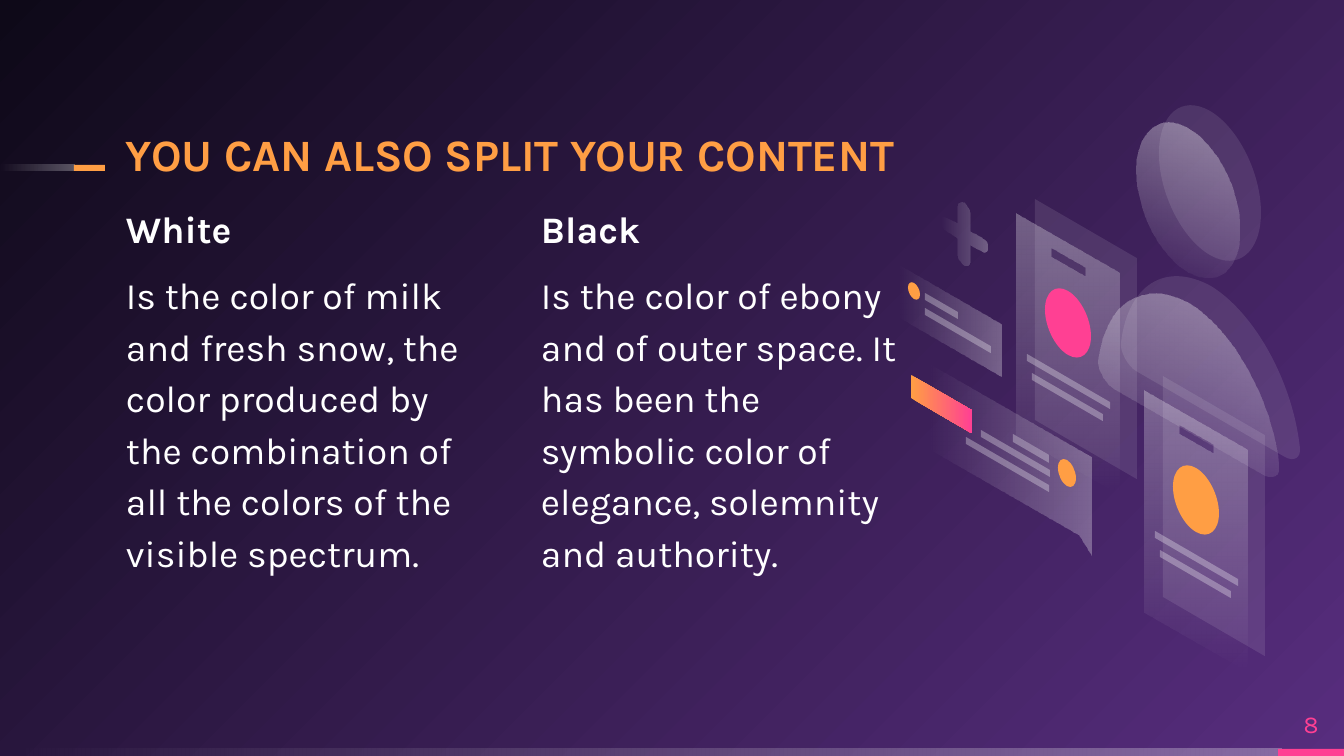
"""Build a slide with a title, two text columns and an isometric profile drawing."""
import pptx
import pptx.dml.color
import pptx.enum.shapes
import pptx.enum.text
import pptx.oxml.ns
import pptx.util
from lxml import etree

PX = 914400 / 134.4
FINE = 100
SLOPE = 0.58
BEND = 0.55
FONT = "Karla"
HEX = {"white": "FFFFFF", "gold": "FF9E44", "pink": "FF4093",
       "plum": "572D7E", "night": "0E0918"}

TITLE = "YOU CAN ALSO SPLIT YOUR CONTENT"
COLUMNS = [
    ("White", "Is the color of milk and fresh snow, the color produced by "
              "the combination of all the colors of the visible spectrum."),
    ("Black", "Is the color of ebony and of outer space. It has been the "
              "symbolic color of elegance, solemnity and authority."),
]
PAGE = "8"

FADE = [("white", 30), ("white", 0)]
GLOW = [("white", 40), ("white", 0)]
PALE = [("white", 10)]
MIST = [("white", 30)]
GOLD = [("gold", 100)]
PINK = [("pink", 100)]

STRIPS = [
    ((0, 749, 1282, 7), FADE), ((1278, 749, 66, 7), PINK),
    ((0, 165, 75, 6), FADE), ((74, 165, 31, 6), GOLD),
]
TORSO = [(1211, 286), (1165, 261, 1128, 285, 1121, 343),
         (1120, 352, 1128, 366, 1136, 371), (1285, 457),
         (1294, 462, 1301, 458, 1300, 448), (1293, 382, 1255, 313, 1211, 286)]
HEAD = (1210, 183, 51, 72)
PERSON = [((0, 0), PALE, None), ((-22, 17), GLOW, 110)]
PLUS = [(964, 203), (966, 206, 969, 210, 969, 214), (969, 231), (981, 237),
        (984, 239, 987, 243, 987, 247), (987, 251, 984, 253, 981, 251),
        (969, 245), (969, 261), (969, 265, 966, 266, 964, 265),
        (960, 262, 957, 258, 957, 254), (957, 238), (946, 231),
        (943, 230, 941, 224, 941, 220), (941, 218, 943, 215, 946, 218),
        (957, 223), (957, 207), (957, 203, 960, 202, 964, 203)]
CARDS = [(1145, 391, GOLD), (1017, 214, PINK)]
NOTE = (899, 265, 102, 52)
NOTE_BARS = [(925, 293, 33, 7), (925, 308, 66, 7)]
SPEECH = [(1091, 458), (929, 364), (929, 449), (1078, 535), (1091, 556)]
SPEECH_BARS = [(1013, 434, 36, 8), (981, 430, 69, 7), (966, 437, 83, 7)]
TAG = (911, 375, 61, 23)


def emu(*sizes):
    return [pptx.util.Emu(round(size * PX)) for size in sizes]


def rgb(name):
    return pptx.dml.color.RGBColor.from_string(HEX[name])


def tag(name):
    return pptx.oxml.ns.qn("a:" + name)


def blend(fill, stops, angle=0):
    fill.gradient()
    fill.gradient_angle = (360 - angle) % 360
    for stop, (name, _) in zip(fill.gradient_stops, stops):
        stop.color.rgb = rgb(name)


def paint(shape, stops, angle=180):
    if len(stops) > 1:
        blend(shape.fill, stops, angle)
    else:
        shape.fill.solid()
        shape.fill.fore_color.rgb = rgb(stops[0][0])
    tints = shape._element.spPr.iter(tag("srgbClr"))
    for tint, (_, alpha) in zip(tints, stops):
        if alpha < 100:
            etree.SubElement(tint, tag("alpha"), val=str(alpha * 1000))
    shape.line.fill.background()
    shape.shadow.inherit = False


def slant(x, y, w, h):
    drop = w * SLOPE
    return [(x, y), (x + w, y + drop), (x + w, y + drop + h), (x, y + h)]


def disc(x, y, rx, ry):
    def spot(u, v):
        return x + rx * u, y + rx * SLOPE * u + ry * v

    parts = [spot(1, 0)]
    for u, v in [(1, 0), (0, 1), (-1, 0), (0, -1)]:
        parts.append(spot(u - BEND * v, v + BEND * u)
                     + spot(BEND * u - v, BEND * v + u) + spot(-v, u))
    return parts


def trace(parts):
    dots = [parts[0]]
    for part in parts[1:]:
        if len(part) == 2:
            dots.append(part)
            continue
        knots = [dots[-1], part[:2], part[2:4], part[4:]]
        for step in range(1, 17):
            t = step / 16
            mix = [(1 - t) ** 3, 3 * t * (1 - t) ** 2, 3 * t * t * (1 - t), t ** 3]
            dots.append(tuple(sum(m * k[i] for m, k in zip(mix, knots)) for i in (0, 1)))
    return dots


def move(parts, dx, dy):
    return [tuple(v + (dx, dy)[i % 2] for i, v in enumerate(part)) for part in parts]


def bend(shape, parts, dots):
    low = [min(axis) for axis in zip(*dots)]
    outline = next(shape._element.iter(tag("path")))
    for child in list(outline):
        outline.remove(child)
    for i, part in enumerate(parts):
        kind = "moveTo" if i == 0 else "lnTo" if len(part) == 2 else "cubicBezTo"
        step = etree.SubElement(outline, tag(kind))
        for j in range(0, len(part), 2):
            x, y = [str(round((part[j + k] - low[k]) * FINE)) for k in (0, 1)]
            etree.SubElement(step, tag("pt"), x=x, y=y)
    etree.SubElement(outline, tag("close"))


def draw(shapes, parts, stops, angle=180, hole=None):
    dots = trace(parts)
    rings = [[(x * FINE, y * FINE) for x, y in ring] for ring in (dots, hole) if ring]
    pen = shapes.build_freeform(*rings[0][0], scale=PX / FINE)
    pen.add_line_segments(rings[0][1:], close=True)
    for ring in rings[1:]:
        pen.move_to(*ring[0])
        pen.add_line_segments(ring[1:], close=True)
    shape = pen.convert_to_shape()
    if len(dots) > len(parts):
        bend(shape, parts, dots)
    paint(shape, stops, angle)


def draw_bars(shapes, bars):
    for bar in bars:
        draw(shapes, slant(*bar), MIST)


def draw_card(shapes, x, y, badge):
    draw(shapes, slant(x + 18, y - 15, 102, 221), PALE)
    draw(shapes, slant(x, y, 102, 221), FADE, 90, slant(x + 34, y + 34, 34, 9))
    draw_bars(shapes, [(x + 10, y + 140, 83, 7), (x + 15, y + 159, 71, 7)])
    draw(shapes, disc(x + 51, y + 109, 23, 32), badge)


def draw_scene(shapes):
    for shift, stops, angle in PERSON:
        for parts in (TORSO, disc(*HEAD)):
            draw(shapes, move(parts, *shift), stops, angle)
    draw(shapes, slant(*NOTE), FADE)
    draw(shapes, disc(914, 291, 6, 8), GOLD)
    draw_bars(shapes, NOTE_BARS)
    for card in CARDS:
        draw_card(shapes, *card)
    draw(shapes, SPEECH, FADE)
    draw(shapes, slant(*TAG), [("gold", 100), ("pink", 100)], 0)
    draw_bars(shapes, SPEECH_BARS)
    draw(shapes, disc(1067, 473, 9, 13), GOLD)
    draw(shapes, PLUS, FADE)


def place(shape, box, anchor):
    shape.left, shape.top, shape.width, shape.height = emu(*box)
    frame = shape.text_frame
    frame.word_wrap = True
    frame.auto_size = pptx.enum.text.MSO_AUTO_SIZE.NONE
    frame.vertical_anchor = anchor
    frame.margin_left = frame.margin_top = frame.margin_right = frame.margin_bottom = 0
    return frame


def write(para, text, size, name, bold=False, lead=1.0, gap=0, align="LEFT"):
    para.alignment = getattr(pptx.enum.text.PP_ALIGN, align)
    para.line_spacing = lead
    para.space_before = para.space_after = pptx.util.Pt(gap)
    run = para.add_run()
    run.text = text
    run.font.name, run.font.bold = FONT, bold
    run.font.size = pptx.util.Pt(size)
    run.font.color.rgb = rgb(name)


def plain(para):
    props = para._p.get_or_add_pPr()
    props.set("marL", "0")
    props.set("indent", "0")
    etree.SubElement(props, tag("buNone"))


def set_ground(slide):
    blend(slide.background.fill, [("plum", 100), ("night", 100)])
    line = next(slide._element.iter(tag("lin")))
    grad = line.getparent()
    grad.remove(line)
    ring = etree.SubElement(grad, tag("path"), path="circle")
    etree.SubElement(ring, tag("fillToRect"), l="100000", t="100000")
    etree.SubElement(grad, tag("tileRect"), r="-100000", b="-100000")


def main():
    deck = pptx.Presentation()
    deck.slide_width, deck.slide_height = emu(1344, 756)
    slide = deck.slides.add_slide(deck.slide_layouts[3])
    set_ground(slide)
    anchor = pptx.enum.text.MSO_ANCHOR
    for box, stops in STRIPS:
        paint(slide.shapes.add_shape(pptx.enum.shapes.MSO_SHAPE.RECTANGLE, *emu(*box)), stops)
    title, *bodies = slide.placeholders
    frame = place(title, (126, 123, 780, 58), anchor.BOTTOM)
    write(frame.paragraphs[0], TITLE, 24, "gold", True, 0.9)
    for i, (body, (head, text)) in enumerate(zip(bodies, COLUMNS)):
        frame = place(body, (126 + 415 * i, 199, 364, 503), anchor.TOP)
        write(frame.paragraphs[0], head, 20, "white", True, 1.15)
        write(frame.add_paragraph(), text, 20, "white", False, 1.15, 8)
        for para in frame.paragraphs:
            plain(para)
    box = (1278, 698, 66, 51)
    frame = place(slide.shapes.add_textbox(*emu(*box)), box, anchor.MIDDLE)
    write(frame.paragraphs[0], PAGE, 13, "pink", align="CENTER")
    draw_scene(slide.shapes.add_group_shape().shapes)
    deck.save("out.pptx")


if __name__ == "__main__":
    main()
